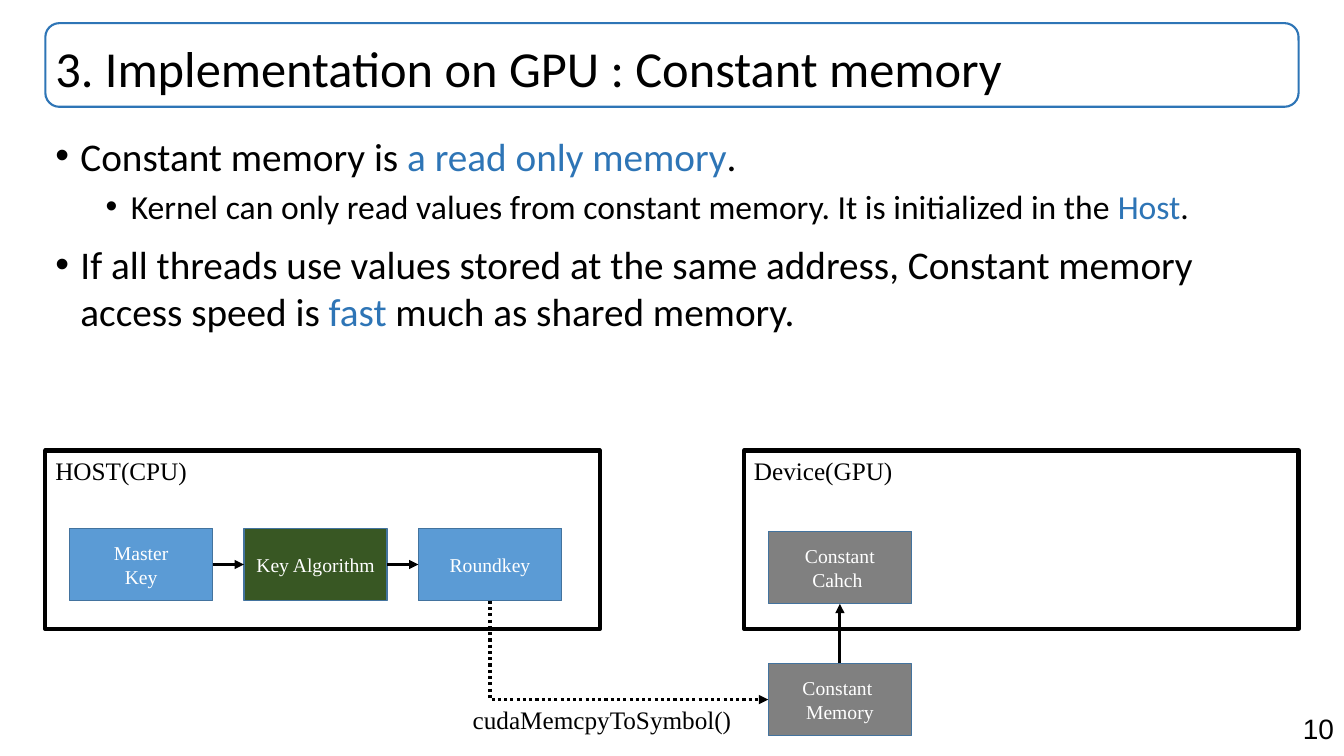
"""Build the slide on constant memory in a GPU implementation."""
from lxml import etree
from pptx import Presentation
from pptx.dml.color import RGBColor
from pptx.enum.dml import MSO_LINE
from pptx.enum.shapes import MSO_CONNECTOR, MSO_SHAPE
from pptx.enum.text import MSO_ANCHOR, PP_ALIGN
from pptx.oxml.ns import qn
from pptx.util import Inches, Pt

STRAIGHT, ELBOW = MSO_CONNECTOR.STRAIGHT, MSO_CONNECTOR.ELBOW
RECT, ROUNDED = MSO_SHAPE.RECTANGLE, MSO_SHAPE.ROUNDED_RECTANGLE
TOP, MIDDLE = MSO_ANCHOR.TOP, MSO_ANCHOR.MIDDLE
LEFT, CENTER, RIGHT = PP_ALIGN.LEFT, PP_ALIGN.CENTER, PP_ALIGN.RIGHT
SITE_TOP, SITE_LEFT, SITE_BOTTOM, SITE_RIGHT = range(4)
THEME = {
    "black": "000000", "white": "FFFFFF", "accent": "2E75B6", "key": "5B9BD5",
    "algorithm": "385723", "memory": "808080", "edge": "43739E",
    "heading": "Calibri", "diagram": "Times New Roman", "number": "Arial",
    "title": 36, "point": 28, "subpoint": 24, "page": 20, "label": 18, "box": 14,
}
MARGIN, FULL_WIDTH = 0.45, 12.43

prs = Presentation()
prs.slide_width, prs.slide_height = Inches(13.33), Inches(7.5)
slide = prs.slides.add_slide(prs.slide_layouts[6])


def write(holder, paragraphs, font, size, color="black", align=LEFT, anchor=TOP, wrap=True):
    """Fill a shape with paragraphs, each a list of (text, color) runs or a string."""
    frame = holder.text_frame
    frame.word_wrap, frame.vertical_anchor = wrap, anchor
    for index, runs in enumerate(paragraphs):
        paragraph = frame.paragraphs[0] if index == 0 else frame.add_paragraph()
        paragraph.alignment = align
        for text, tint in [(runs, color)] if isinstance(runs, str) else runs:
            run = paragraph.add_run()
            run.text = text
            run.font.name, run.font.size = THEME[font], Pt(THEME[size])
            run.font.color.rgb = RGBColor.from_string(THEME[tint])
    return frame.paragraphs


def add_box(kind, bounds, edge, weight, fill=None):
    """Add an outlined shape, hollow unless a fill is named."""
    box = slide.shapes.add_shape(kind, *map(Inches, bounds))
    box.shadow.inherit = False
    box.line.color.rgb = RGBColor.from_string(THEME[edge])
    box.line.width = Pt(weight)
    if fill:
        box.fill.solid()
        box.fill.fore_color.rgb = RGBColor.from_string(THEME[fill])
    else:
        box.fill.background()
    return box


page_number = slide.shapes.add_textbox(Inches(9.43), Inches(7.01), Inches(3.9), Inches(0.44))
write(page_number, ["10"], "number", "page", align=RIGHT)

add_box(ROUNDED, (MARGIN, 0.23, FULL_WIDTH, 0.83), "accent", 1.5)
title = slide.shapes.add_textbox(Inches(MARGIN), Inches(0.29), Inches(FULL_WIDTH), Inches(0.83))
heading = write(title, ["3. Implementation on GPU : Constant memory"], "heading", "title", anchor=MIDDLE)
heading[0].line_spacing = 0.9

points = [
    (0, [("Constant memory is ", "black"), ("a read only memory", "accent"), (".", "black")]),
    (1, [("Kernel can only read values from constant memory. It is initialized in the ", "black"),
         ("Host", "accent"), (".", "black")]),
    (0, [("If all threads use values stored at the same address, Constant memory access speed is ", "black"),
         ("fast", "accent"), (" much as shared memory.", "black")]),
]
body = slide.shapes.add_textbox(Inches(MARGIN), Inches(1.26), Inches(FULL_WIDTH), Inches(5.53))
lines = write(body, [runs for _, runs in points], "heading", "point")
for (level, _), line in zip(points, lines):
    line.level = level
    line.space_before = Pt(5 if level else 10)
    for run in line.runs:
        run.font.size = Pt(THEME["subpoint" if level else "point"])
    properties = line._p.get_or_add_pPr()
    properties.set("marL", str(Inches(0.25 + 0.5 * level)))
    properties.set("indent", str(Inches(-0.25)))
    etree.SubElement(properties, qn("a:buFont")).set("typeface", "Arial")
    etree.SubElement(properties, qn("a:buChar")).set("char", "•")

for name, left in [("HOST(CPU)", MARGIN), ("Device(GPU)", 7.38)]:
    write(add_box(RECT, (left, 4.47, 5.5, 1.77), "black", 3), [name], "diagram", "label")

stages = {}
for name, left, top, fill, words in [
    ("master", 0.69, 5.24, "key", ["Master", "Key"]),
    ("algorithm", 2.42, 5.24, "algorithm", ["Key Algorithm"]),
    ("roundkey", 4.15, 5.24, "key", ["Roundkey"]),
    ("memory", 7.62, 6.58, "memory", ["Constant ", "Memory"]),
    ("cache", 7.62, 5.27, "memory", ["Constant", "Cahch "]),
]:
    stages[name] = add_box(RECT, (left, top, 1.42, 0.72), "edge", 1, fill)
    write(stages[name], words, "diagram", "box", "white", CENTER, MIDDLE)

for kind, source, source_site, target, target_site in [
    (STRAIGHT, "master", SITE_RIGHT, "algorithm", SITE_LEFT),
    (STRAIGHT, "algorithm", SITE_RIGHT, "roundkey", SITE_LEFT),
    (STRAIGHT, "memory", SITE_TOP, "cache", SITE_BOTTOM),
    (ELBOW, "roundkey", SITE_BOTTOM, "memory", SITE_LEFT),
]:
    flow = slide.shapes.add_connector(kind, 0, 0, 0, 0)
    flow.begin_connect(stages[source], source_site)
    flow.end_connect(stages[target], target_site)
    flow.line.color.rgb = RGBColor.from_string(THEME["black"])
    flow.line.width = Pt(2.25)
    if kind == ELBOW:
        flow.line.dash_style = MSO_LINE.ROUND_DOT
        across, down = flow.width, flow.height
        flow.left += (across - down) // 2
        flow.top += (down - across) // 2
        flow.width, flow.height = down, across
        frame = flow._element.spPr.find(qn("a:xfrm"))
        frame.set("rot", str(270 * 60000))
        frame.set("flipH", "1")
        flow._element.spPr.find(qn("a:prstGeom")).set("prst", "bentConnector2")
    etree.SubElement(flow.line._get_or_add_ln(), qn("a:tailEnd")).set("type", "triangle")
    etree.SubElement(flow._element.spPr, qn("a:effectLst"))

copy_call = slide.shapes.add_textbox(Inches(4.59), Inches(6.94), Inches(2.79), Inches(0.4))
write(copy_call, ["cudaMemcpyToSymbol()"], "diagram", "label", wrap=False)

prs.save("out.pptx")
